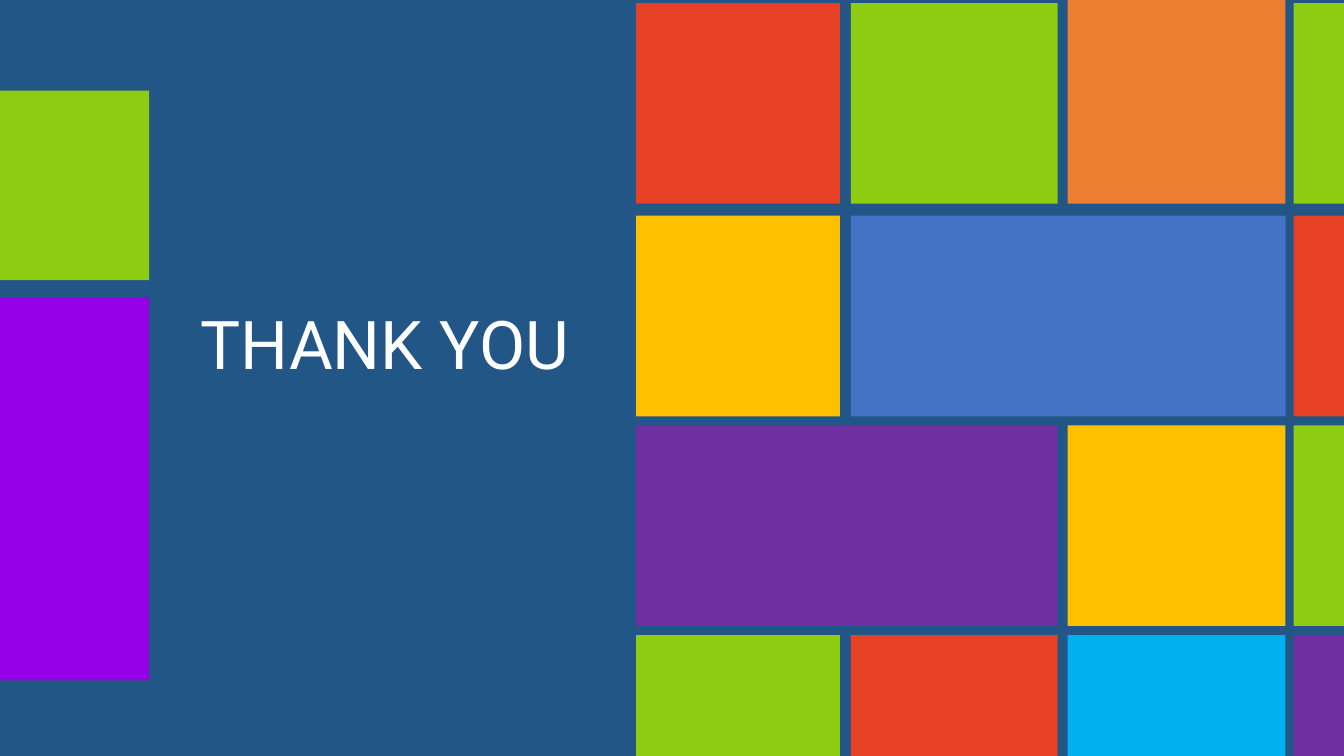
from pptx import Presentation
from pptx.dml.color import RGBColor
from pptx.enum.shapes import MSO_SHAPE
from pptx.enum.text import MSO_ANCHOR, MSO_AUTO_SIZE, PP_ALIGN
from pptx.util import Inches, Pt

RECTANGLE = MSO_SHAPE.RECTANGLE
ROUNDED = MSO_SHAPE.ROUNDED_RECTANGLE
TOP = MSO_ANCHOR.TOP
FIT_SHAPE = MSO_AUTO_SIZE.SHAPE_TO_FIT_TEXT
LEFT = PP_ALIGN.LEFT

TITLE_ONLY = 5
COLORS = {
    "background": "225686", "white": "FFFFFF", "green": "8ECC12",
    "violet": "9500E6", "purple": "7030A0", "blue": "4472C4",
    "yellow": "FFC000", "red": "E64124", "orange": "ED7D31", "cyan": "00B0F0",
}
COLUMNS = [(6.31, 8.33), (8.44, 10.49), (10.59, 12.75), (12.83, 13.6)]
ROWS = [(0.03, 2.02), (2.14, 4.13), (4.22, 6.21), (6.3, 7.66)]
MOSAIC = [
    [("red", 1), ("green", 1), ("orange", 1), ("green", 1)],
    [("yellow", 1), ("blue", 2), ("red", 1)],
    [("purple", 2), ("yellow", 1), ("green", 1)],
    [("green", 1), ("red", 1), ("cyan", 1), ("purple", 1)],
]
SIDE_BAND = (-0.02, 1.48)
SIDE_TILES = [("green", (0.9, 2.78)), ("violet", (2.95, 6.75))]


def rgb(name):
    """Return the named colour."""
    return RGBColor.from_string(COLORS[name])


def add_tile(slide, kind, column, row, color):
    """Add a flat tile filling the given column and row extents."""
    (left, right), (top, bottom) = column, row
    shape = slide.shapes.add_shape(
        kind, Inches(left), Inches(top), Inches(right - left), Inches(bottom - top))
    if kind == ROUNDED:
        shape.adjustments[0] = 0
    shape.shadow.inherit = False
    shape.fill.solid()
    shape.fill.fore_color.rgb = rgb(color)
    shape.line.fill.background()


def add_mosaic(slide):
    """Lay the coloured tiles over the columns and rows."""
    for row, tiles in zip(ROWS, MOSAIC):
        first = 0
        for color, span in tiles:
            column = (COLUMNS[first][0], COLUMNS[first + span - 1][1])
            extent = (0, row[1]) if color == "orange" else row
            add_tile(slide, ROUNDED, column, extent, color)
            first += span


def set_title(slide, text):
    """Place and format the closing title."""
    title = slide.shapes.title
    title.left, title.top = Inches(1.89), Inches(2.95)
    title.width, title.height = Inches(3.91), Inches(0.91)
    frame = title.text_frame
    frame.text = text
    frame.word_wrap = False
    frame.auto_size = FIT_SHAPE
    frame.vertical_anchor = TOP
    paragraph = frame.paragraphs[0]
    paragraph.alignment = LEFT
    font = paragraph.runs[0].font
    font.name = "Roboto"
    font.size = Pt(48)
    font.color.rgb = rgb("white")


def main():
    """Build and save the closing slide."""
    presentation = Presentation()
    presentation.slide_width = Inches(13.33)
    presentation.slide_height = Inches(7.5)
    slide = presentation.slides.add_slide(presentation.slide_layouts[TITLE_ONLY])
    slide.background.fill.solid()
    slide.background.fill.fore_color.rgb = rgb("background")
    for color, row in SIDE_TILES:
        add_tile(slide, RECTANGLE, SIDE_BAND, row, color)
    add_mosaic(slide)
    set_title(slide, "THANK YOU")
    presentation.save("out.pptx")


if __name__ == "__main__":
    main()
